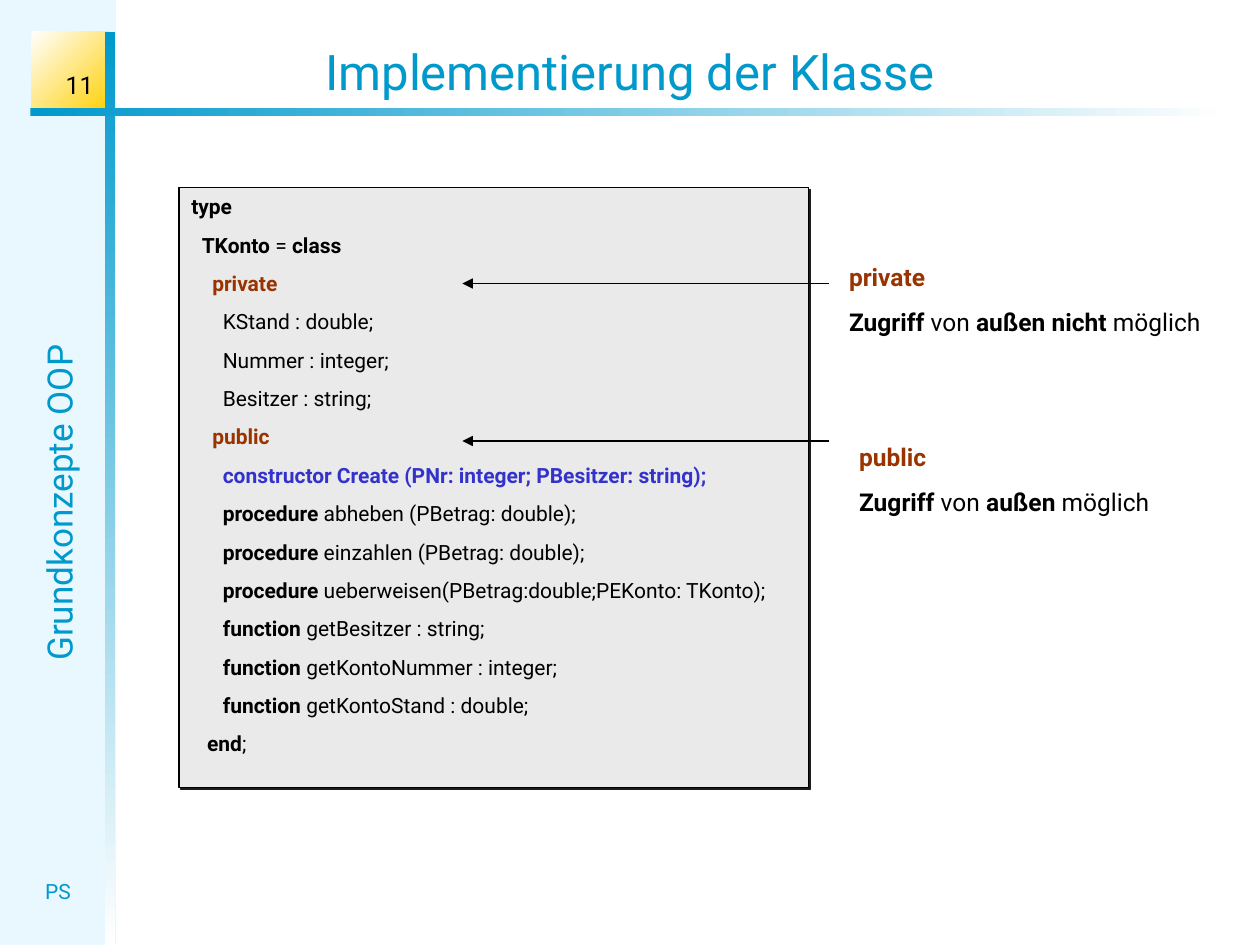
import pptx
import pptx.util
import pptx.oxml
import pptx.dml.color
import pptx.enum.shapes
import pptx.enum.text
import pptx.oxml.ns

Pt = pptx.util.Pt
ALIGN = pptx.enum.text.PP_ALIGN
ANCHOR = pptx.enum.text.MSO_ANCHOR
FONT = "Roboto"
BLUE, BLACK, WHITE, BROWN, INDIGO = "0099CC", "000000", "FFFFFF", "993300", "3333CC"
SPACE = 3

PANEL = (0, 0, 66.24, 540)
GRADIENTS = [
    ((18, 18, 43.92, 48.24), (WHITE, "FFCF01"), 45),
    ((60.12, 18, 5.76, 522), (BLUE, WHITE), 90),
    ((17.28, 61.92, 684.72, 4.32), (BLUE, WHITE), 0),
]
TITLE = ("Implementierung der Klasse", (0, 20.16, 720, 41.04))
LABELS = [
    ("Grundkonzepte OOP", (-177.12, 271.44, 421.92, 31.68), 20, BLUE, ALIGN.CENTER, ANCHOR.TOP, 270),
    ("PS", (12.24, 498.24, 41.76, 21.6), 12, BLUE, ALIGN.CENTER, ANCHOR.TOP, 0),
    ("11", (5.76, 30.24, 54.72, 30.24), 14, BLACK, ALIGN.RIGHT, ANCHOR.BOTTOM, 0),
]
CODE_BOX = (102.24, 107.28, 360, 342.72)
CODE = [
    (0, "**type**", BLACK),
    (2, "**TKonto** = **class**", BLACK),
    (4, "**private**", BROWN),
    (6, "KStand : double;", BLACK),
    (6, "Nummer : integer;", BLACK),
    (6, "Besitzer : string;", BLACK),
    (4, "**public**", BROWN),
    (6, "**constructor Create (PNr: integer; PBesitzer: string);**", INDIGO),
    (6, "**procedure** abheben (PBetrag: double);", BLACK),
    (6, "**procedure** einzahlen (PBetrag: double);", BLACK),
    (6, "**procedure** ueberweisen(PBetrag:double;PEKonto: TKonto);", BLACK),
    (6, "**function** getBesitzer : string;", BLACK),
    (6, "**function** getKontoNummer : integer;", BLACK),
    (6, "**function** getKontoStand : double;", BLACK),
    (3, "**end**;", BLACK),
]
NOTES = [
    ((478.08, 146.16, 230.4, 66.24),
     [(0, "**private**", BROWN), (0, "**Zugriff** von **außen nicht** möglich", BLACK)]),
    ((483.84, 249.12, 205.92, 49.68),
     [(0, "**public**", BROWN), (0, "**Zugriff** von **außen** möglich", BLACK)]),
]
ARROW_X = (473.76, 264.24)
ARROW_YS = (162, 252)


def rgb(value):
    return pptx.dml.color.RGBColor.from_string(value)


def assign(obj, **values):
    for name, value in values.items():
        setattr(obj, name, value)


def xml(tag, content=""):
    ns = pptx.oxml.ns.nsdecls("a")
    name = tag.split()[0]
    return pptx.oxml.parse_xml(f"<a:{tag} {ns}>{content}</a:{name}>")


def add_rect(s, box, color=None):
    sp = s.shapes.add_shape(pptx.enum.shapes.MSO_SHAPE.RECTANGLE, *map(Pt, box))
    sp.shadow.inherit = False
    sp.line.fill.background()
    if color:
        sp.fill.solid()
        sp.fill.fore_color.rgb = rgb(color)
    return sp


def write(tf, lines, size, align=ALIGN.LEFT, anchor=ANCHOR.TOP, before=0):
    assign(tf, word_wrap=True, vertical_anchor=anchor,
           auto_size=pptx.enum.text.MSO_AUTO_SIZE.NONE)
    for i, (indent, text, color) in enumerate(lines):
        p = tf.add_paragraph() if i else tf.paragraphs[0]
        assign(p, alignment=align, space_before=Pt(before))
        if indent:
            p._p.get_or_add_pPr().set("marL", str(Pt(indent * SPACE)))
        for j, part in enumerate(text.split("**")):
            if part:
                r = p.add_run()
                r.text = part
                assign(r.font, name=FONT, size=Pt(size), bold=j % 2 == 1)
                r.font.color.rgb = rgb(color)


prs = pptx.Presentation()
assign(prs, slide_width=Pt(720), slide_height=Pt(540))
s = prs.slides.add_slide(prs.slide_layouts[5])

add_rect(s, PANEL, "E9F7FF")
for box, colors, angle in GRADIENTS:
    sp = add_rect(s, box)
    sp.fill.gradient()
    sp.fill.gradient_angle = -angle % 360
    for stop, color, position in zip(sp.fill.gradient_stops, colors, (0, 1)):
        stop.color.rgb = rgb(color)
        stop.position = position

for text, box, size, color, align, anchor, rotation in LABELS:
    sp = s.shapes.add_textbox(*map(Pt, box))
    sp.rotation = rotation
    write(sp.text_frame, [(0, text, color)], size, align, anchor)

text, box = TITLE
title = s.shapes.title
assign(title, **dict(zip(("left", "top", "width", "height"), map(Pt, box))))
write(title.text_frame, [(0, text, BLUE)], 28, ALIGN.CENTER, ANCHOR.BOTTOM)

sp = add_rect(s, CODE_BOX, "EAEAEA")
sp.line.color.rgb = rgb(BLACK)
sp.line.width = Pt(0.75)
effects = sp._element.spPr.find(pptx.oxml.ns.qn("a:effectLst"))
effects.append(xml(f'outerShdw dist="{Pt(1.4)}" dir="2700000" algn="ctr" rotWithShape="0"',
                   '<a:srgbClr val="1C1C1C"/>'))
write(sp.text_frame, CODE, 12, ALIGN.JUSTIFY, before=7.5)

for y in ARROW_YS:
    start, end = ARROW_X
    line = s.shapes.add_connector(pptx.enum.shapes.MSO_CONNECTOR.STRAIGHT,
                                  Pt(start), Pt(y), Pt(end), Pt(y))
    line.line.color.rgb = rgb(BLACK)
    line.line.width = Pt(0.75)
    line.line._get_or_add_ln().append(xml('tailEnd type="triangle"'))
    line._element.spPr.append(xml("effectLst"))

for box, lines in NOTES:
    sp = s.shapes.add_textbox(*map(Pt, box))
    write(sp.text_frame, lines, 14, before=8.8)

prs.save("out.pptx")
